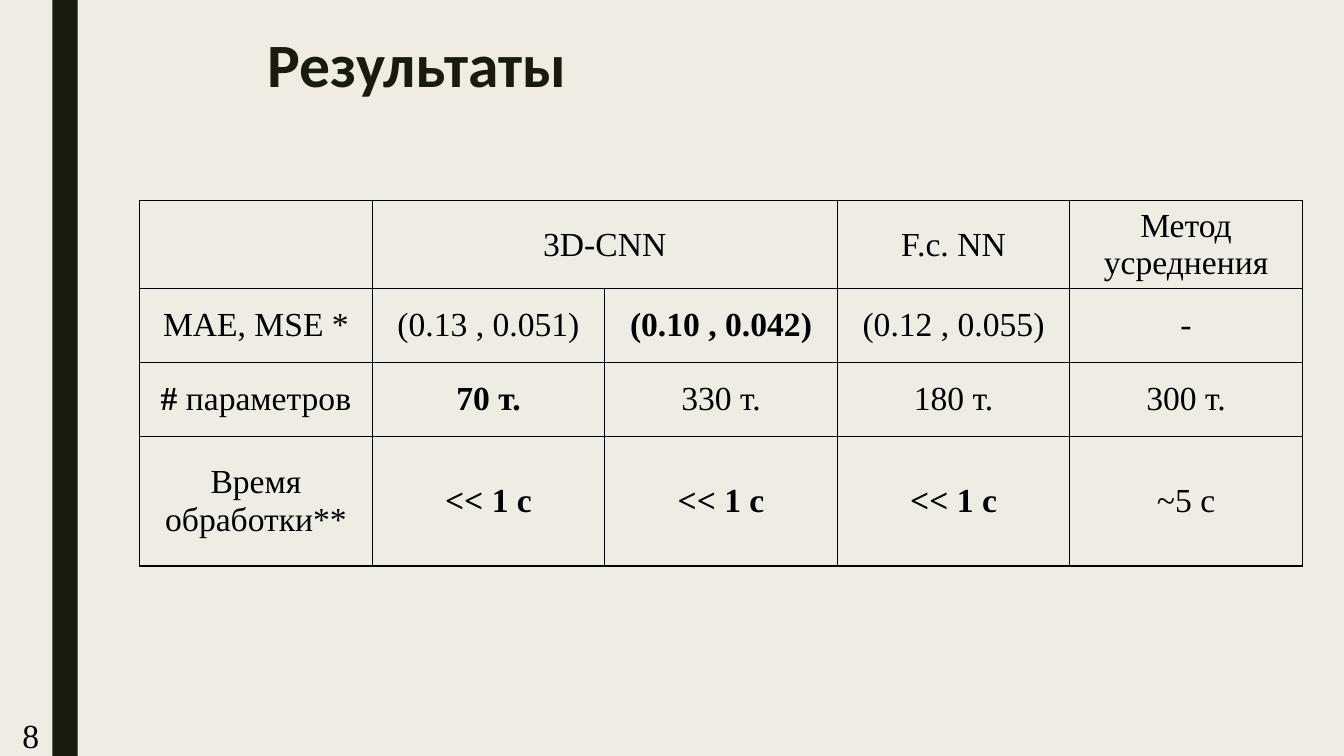
from dataclasses import dataclass

import pptx
import pptx.dml.color
import pptx.enum.shapes
import pptx.enum.text
import pptx.oxml
import pptx.util
from pptx.util import Cm

COLORS = {"background": "EFEDE3", "dark": "191B0E", "black": "000000"}
BODY_FONT = "Times New Roman"
CENTER = pptx.enum.text.PP_ALIGN.CENTER


@dataclass
class Entry:
    text: str = ""
    bold: bool = False
    bold_prefix: str = ""
    columns: int = 1


@dataclass
class Label:
    text: str
    left: float
    top: float
    width: float
    height: float
    font: str
    size: int
    color: str
    align: pptx.enum.text.PP_ALIGN
    bold: bool = False
    indent: float = 0.25
    spacing: float = 1.0


LABELS = [
    Label("Результаты", 3.94, 0.76, 29.93, 2.54, "Calibri", 44, "dark",
          pptx.enum.text.PP_ALIGN.LEFT, bold=True, indent=2.79, spacing=0.89),
    Label("8", 0, 17.88, 1.24, 1.12, BODY_FONT, 24, "black",
          pptx.enum.text.PP_ALIGN.RIGHT),
]

COLUMN_WIDTH = 5.86
ROW_HEIGHTS = [1.86, 1.86, 1.86, 3.27]
RESULTS = [
    [Entry(), Entry("3D-CNN", columns=2), Entry(), Entry("F.c. NN"), Entry("Метод усреднения")],
    [Entry("MAE, MSE *"), Entry("(0.13 , 0.051)"), Entry("(0.10 , 0.042)", bold=True),
     Entry("(0.12 , 0.055)"), Entry("-")],
    [Entry("параметров", bold_prefix="# "), Entry("70 т.", bold=True), Entry("330 т."),
     Entry("180 т."), Entry("300 т.")],
    [Entry("Время обработки**"), *[Entry("<< 1 c", bold=True)] * 3, Entry("~5 c")],
]


def rgb(name: str) -> pptx.dml.color.RGBColor:
    return pptx.dml.color.RGBColor.from_string(COLORS[name])


def style_font(font: pptx.text.text.Font, name: str, size: int, color: str) -> None:
    font.name = name
    font.size = pptx.util.Pt(size)
    font.color.rgb = rgb(color)


def add_label(page: pptx.slide.Slide, label: Label) -> None:
    box = page.shapes.add_textbox(Cm(label.left), Cm(label.top), Cm(label.width), Cm(label.height))
    frame = box.text_frame
    frame.word_wrap = True
    frame.margin_left = Cm(label.indent)
    para = frame.paragraphs[0]
    para.text = label.text
    para.alignment = label.align
    para.line_spacing = label.spacing
    style_font(para.font, label.font, label.size, label.color)
    para.font.bold = label.bold


def add_borders(cell: pptx.table._Cell) -> None:
    properties = cell._tc.get_or_add_tcPr()
    for position, side in enumerate(("lnL", "lnR", "lnT", "lnB")):
        # Border lines must come before the cell fill
        properties.insert(position, pptx.oxml.parse_xml(
            f'<a:{side} xmlns:a="http://schemas.openxmlformats.org/drawingml/2006/main" w="12700">'
            f'<a:solidFill><a:srgbClr val="{COLORS["black"]}"/></a:solidFill></a:{side}>'))


def fill_cell(cell: pptx.table._Cell, entry: Entry) -> None:
    cell.fill.background()
    cell.vertical_anchor = pptx.enum.text.MSO_ANCHOR.MIDDLE
    cell.margin_top = cell.margin_bottom = Cm(0.09)
    para = cell.text_frame.paragraphs[0]
    para.alignment = CENTER
    style_font(para.font, BODY_FONT, 24, "black")
    para.font.bold = entry.bold
    if entry.bold_prefix:
        span = para.add_run()
        span.text = entry.bold_prefix
        span.font.bold = True
    if entry.text:
        para.add_run().text = entry.text
    add_borders(cell)


def add_results(page: pptx.slide.Slide) -> None:
    columns = len(RESULTS[0])
    table = page.shapes.add_table(len(RESULTS), columns, Cm(3.52), Cm(5.06),
                                  Cm(COLUMN_WIDTH * columns), Cm(sum(ROW_HEIGHTS))).table
    table.first_row = table.horz_banding = False
    for column in table.columns:
        column.width = Cm(COLUMN_WIDTH)
    for row, height in zip(table.rows, ROW_HEIGHTS):
        row.height = Cm(height)
    for r, entries in enumerate(RESULTS):
        for c, entry in enumerate(entries):
            fill_cell(table.cell(r, c), entry)
            if entry.columns > 1:
                table.cell(r, c).merge(table.cell(r, c + entry.columns - 1))


def main() -> None:
    deck = pptx.Presentation()
    deck.slide_width, deck.slide_height = Cm(33.87), Cm(19.05)
    page = deck.slides.add_slide(deck.slide_layouts[6])
    page.background.fill.solid()
    page.background.fill.fore_color.rgb = rgb("background")

    # Side stripe
    stripe = page.shapes.add_shape(pptx.enum.shapes.MSO_SHAPE.RECTANGLE,
                                   Cm(1.32), 0, Cm(0.64), deck.slide_height)
    stripe.shadow.inherit = False
    stripe.fill.solid()
    stripe.fill.fore_color.rgb = rgb("dark")
    stripe.line.fill.background()

    # Title, page number and table
    for label in LABELS:
        add_label(page, label)
    add_results(page)
    deck.save("out.pptx")


if __name__ == "__main__":
    main()
